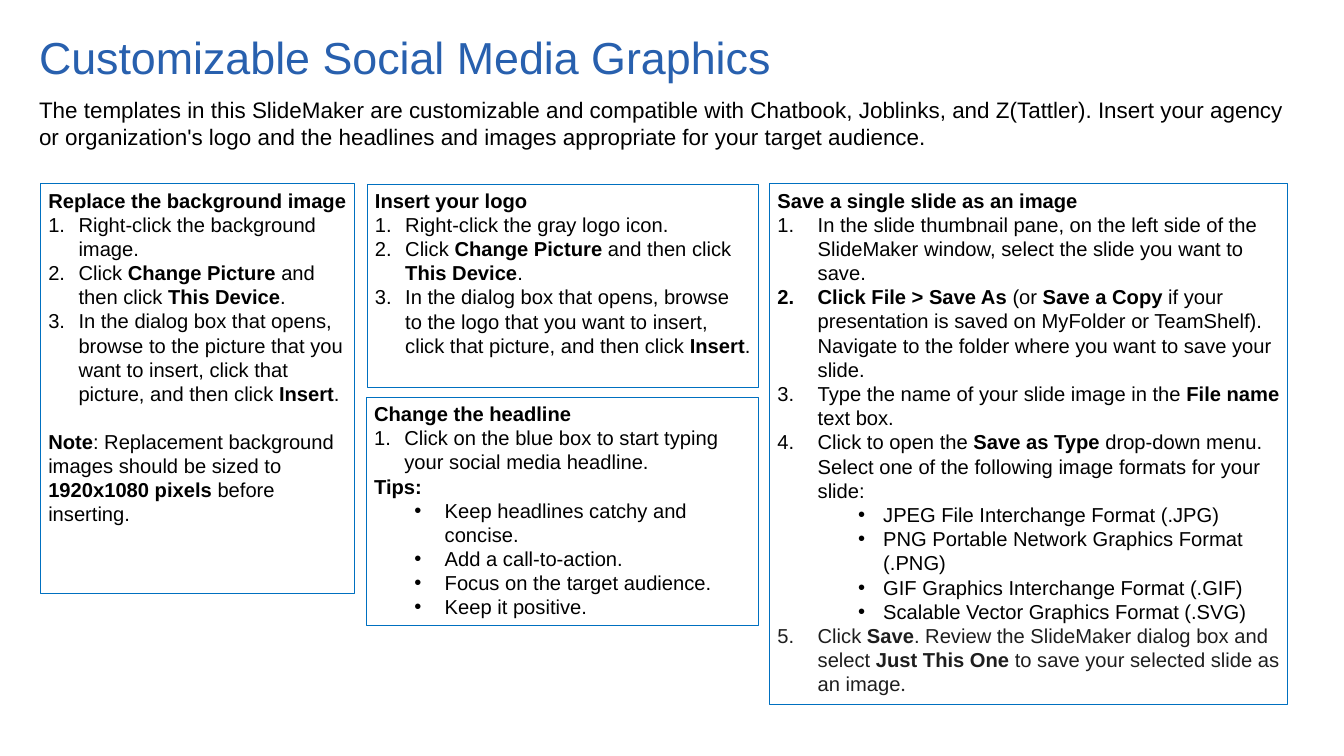
"""Build the slide on customizable social media graphics."""
from lxml.etree import SubElement
from pptx import Presentation
from pptx.dml.color import RGBColor
from pptx.enum.shapes import MSO_SHAPE
from pptx.enum.text import MSO_ANCHOR, PP_ALIGN
from pptx.oxml.ns import qn
from pptx.util import Pt

PX = 9525
COLORS = {"title": "2860AE", "text": "000000", "dark": "1E1E1E", "border": "0070C0"}
TOP = 219


def style(run, size, color, bold=False):
    run.font.name = "Arial"
    run.font.size = Pt(size)
    run.font.bold = bold
    run.font.color.rgb = RGBColor.from_string(COLORS[color])


def set_marker(paragraph, indent, hanging, bullet):
    properties = paragraph._p.get_or_add_pPr()
    properties.set("marL", str(indent * PX))
    properties.set("indent", str(-hanging * PX))
    SubElement(properties, qn("a:buFont")).set("typeface", "Arial")
    if bullet:
        SubElement(properties, qn("a:buChar")).set("char", "•")
    else:
        SubElement(properties, qn("a:buAutoNum")).set("type", "arabicPeriod")


presentation = Presentation()
presentation.slide_width = 1600 * PX
presentation.slide_height = 900 * PX
slide = presentation.slides.add_slide(presentation.slide_layouts[6])

introduction = [
    ("Customizable Social Media Graphics", 31, 139, 40, "title"),
    ("The templates in this SlideMaker are customizable and compatible with Chatbook, "
     "Joblinks, and Z(Tattler). Insert your agency or organization's logo and the headlines "
     "and images appropriate for your target audience.", 110, 107, 20, "text"),
]
for words, top, height, size, color in introduction:
    frame = slide.shapes.add_textbox(37 * PX, top * PX, 1525 * PX, height * PX).text_frame
    frame.word_wrap = True
    frame.text = words
    style(frame.paragraphs[0].runs[0], size, color)

# kind: (level, indent, hanging, bullet)
MARKERS = {
    "step": (0, 36, 36, False),
    "wide step": (0, 48, 48, False),
    "tip": (1, 84, 36, True),
    "format": (2, 126, 30, True),
}
CHANGE_PICTURE = ("step", "Click **Change Picture **and then click **This Device**.")
BROWSE = ("In the dialog box that opens, browse to the {} that you want to insert, "
          "click that picture, and then click **Insert**.")

instructions = [
    (48, TOP, 374, 488, [
        ("plain", "**Replace the background image"),
        ("step", "Right-click the background image."),
        CHANGE_PICTURE,
        ("step", BROWSE.format("picture")),
        ("note", "**Note**: Replacement background images should be sized to "
                 "**1920x1080 pixels **before inserting."),
    ]),
    (916, TOP, 617, 620, [
        ("plain", "**Save a single slide as an image"),
        ("wide step", "In the slide thumbnail pane, on the left side of the SlideMaker window, "
                      "select the slide you want to save."),
        ("wide step", "**Click File > Save As **(or** Save a Copy **if your presentation is "
                      "saved on MyFolder or TeamShelf). Navigate to the folder where you want "
                      "to save your slide."),
        ("wide step", "Type the name of your slide image in the **File name** text box."),
        ("wide step", "Click to open the **Save as Type **drop-down menu. Select one of the "
                      "following image formats for your slide:"),
        ("format", "JPEG File Interchange Format (.JPG)"),
        ("format", "PNG Portable Network Graphics Format (.PNG)"),
        ("format", "GIF Graphics Interchange Format (.GIF)"),
        ("format", "Scalable Vector Graphics Format (.SVG)"),
        ("wide step", "Click **Save**. Review the SlideMaker dialog box and select "
                      "**Just This One** to save your selected slide as an image"),
    ]),
    (437, TOP, 466, 242, [
        ("plain", "**Insert your logo"),
        ("step", "Right-click the gray logo icon."),
        CHANGE_PICTURE,
        ("step", BROWSE.format("logo")),
    ]),
    (436, 473, 467, 272, [
        ("plain", "**Change the headline"),
        ("step", "Click on the blue box to start typing your social media headline."),
        ("plain", "**Tips:"),
        ("tip", "Keep headlines catchy and concise."),
        ("tip", "Add a call-to-action."),
        ("tip", "Focus on the target audience."),
        ("tip", "Keep it positive."),
    ]),
]

for left, top, width, height, lines in instructions:
    panel = slide.shapes.add_shape(
        MSO_SHAPE.RECTANGLE, left * PX, top * PX, width * PX, height * PX)
    panel.shadow.inherit = False
    panel.fill.background()
    panel.line.color.rgb = RGBColor.from_string(COLORS["border"])
    panel.line.width = Pt(0.75)
    frame = panel.text_frame
    frame.word_wrap = True
    frame.vertical_anchor = MSO_ANCHOR.TOP
    for number, (kind, words) in enumerate(lines):
        paragraph = frame.add_paragraph() if number else frame.paragraphs[0]
        paragraph.alignment = PP_ALIGN.LEFT
        if kind == "note":
            paragraph.space_before = Pt(21)
        if kind in MARKERS:
            level, indent, hanging, bullet = MARKERS[kind]
            paragraph.level = level
            set_marker(paragraph, indent, hanging, bullet)
        closing = words.startswith("Click **Save**")
        for part, phrase in enumerate(words.split("**")):
            if phrase:
                run = paragraph.add_run()
                run.text = phrase
                style(run, 18, "dark" if closing else "text", part % 2 == 1)
        if closing:
            period = paragraph.add_run()
            period.text = "."
            style(period, 18, "dark")
            period.font.name = "Calibri"

presentation.save("out.pptx")
